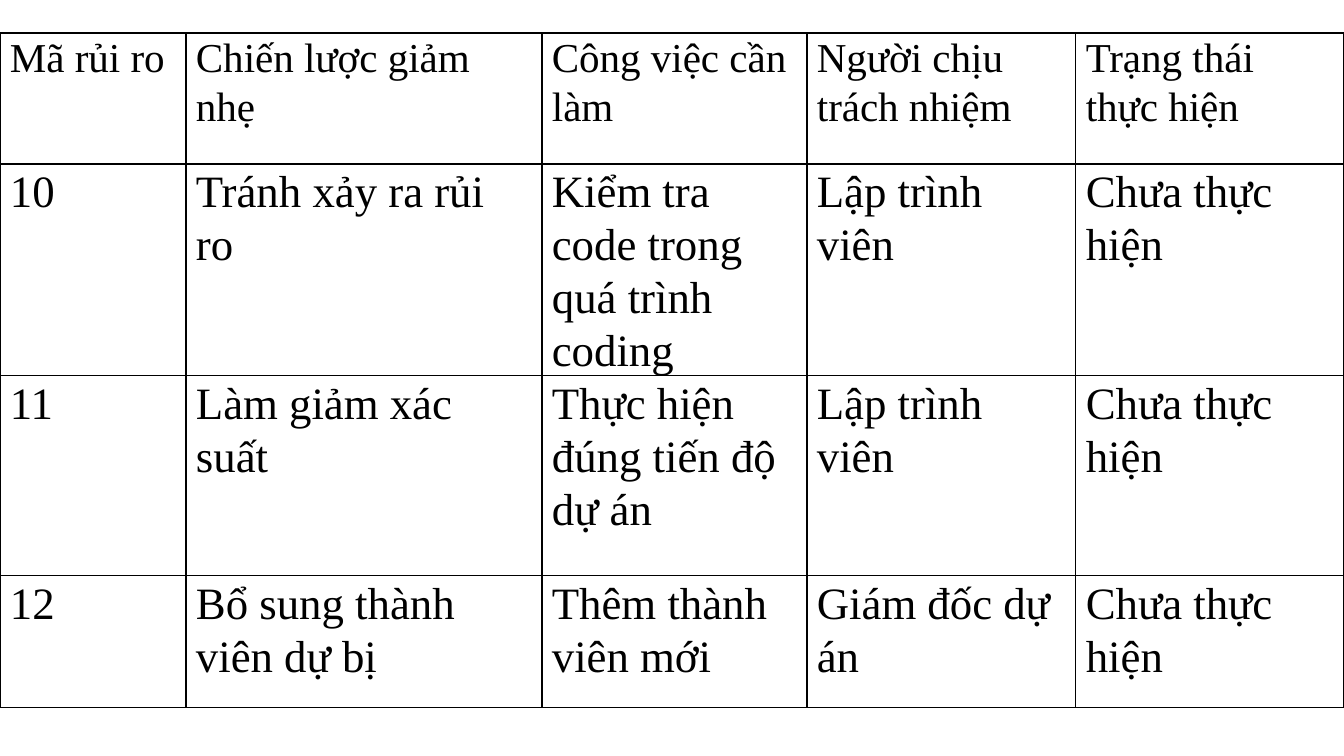
from lxml import etree
from pptx import Presentation
from pptx import util as u
from pptx.dml.color import RGBColor
from pptx.oxml import ns

PX = 9144000 / 1344
COLORS = {"ink": "000000"}
FONT = "Times New Roman"
BORDER_WIDTH = u.Pt(0.75)


def px(length):
    return u.Emu(round(length * PX))


def write_cell(cell, content, size, color, line_spacing=1.07):
    cell.margin_left = cell.margin_right = px(10)
    cell.margin_top = cell.margin_bottom = 0
    cell.text = content
    paragraph = cell.text_frame.paragraphs[0]
    paragraph.line_spacing = line_spacing
    for run in paragraph.runs:
        run.font.name = FONT
        run.font.size = u.Pt(size)
        run.font.color.rgb = RGBColor.from_string(color)


column_widths = [186, 356, 265, 269, 268]
row_heights = [131, 180, 200, 132]
risk_rows = [
    ["Mã rủi ro", "Chiến lược giảm nhẹ", "Công việc cần làm",
     "Người chịu trách nhiệm", "Trạng thái thực hiện"],
    ["10", "Tránh xảy ra rủi ro", "Kiểm tra code trong quá trình coding",
     "Lập trình viên", "Chưa thực hiện"],
    ["11", "Làm giảm xác suất", "Thực hiện đúng tiến độ dự án",
     "Lập trình viên", "Chưa thực hiện"],
    ["12", "Bổ sung thành viên dự bị", "Thêm thành viên mới",
     "Giám đốc dự án", "Chưa thực hiện"],
]

presentation = Presentation()
presentation.slide_width = px(1344)
presentation.slide_height = px(756)
slide = presentation.slides.add_slide(presentation.slide_layouts[6])

table = slide.shapes.add_table(
    len(risk_rows), len(column_widths),
    0, px(33), px(sum(column_widths)), px(sum(row_heights)),
).table
table.first_row = False
table.horz_banding = False
for column, width in zip(table.columns, column_widths):
    column.width = px(width)

for row, height, contents in zip(table.rows, row_heights, risk_rows):
    row.height = px(height)
    size = 22 if contents is risk_rows[0] else 24
    for cell, content in zip(row.cells, contents):
        write_cell(cell, content, size=size, color=COLORS["ink"])
        properties = cell._tc.get_or_add_tcPr()
        for side in ("a:lnL", "a:lnR", "a:lnT", "a:lnB"):
            border = etree.SubElement(properties, ns.qn(side), w=str(BORDER_WIDTH))
            fill = etree.SubElement(border, ns.qn("a:solidFill"))
            etree.SubElement(fill, ns.qn("a:srgbClr"), val=COLORS["ink"])
        cell.fill.background()

presentation.save("out.pptx")
